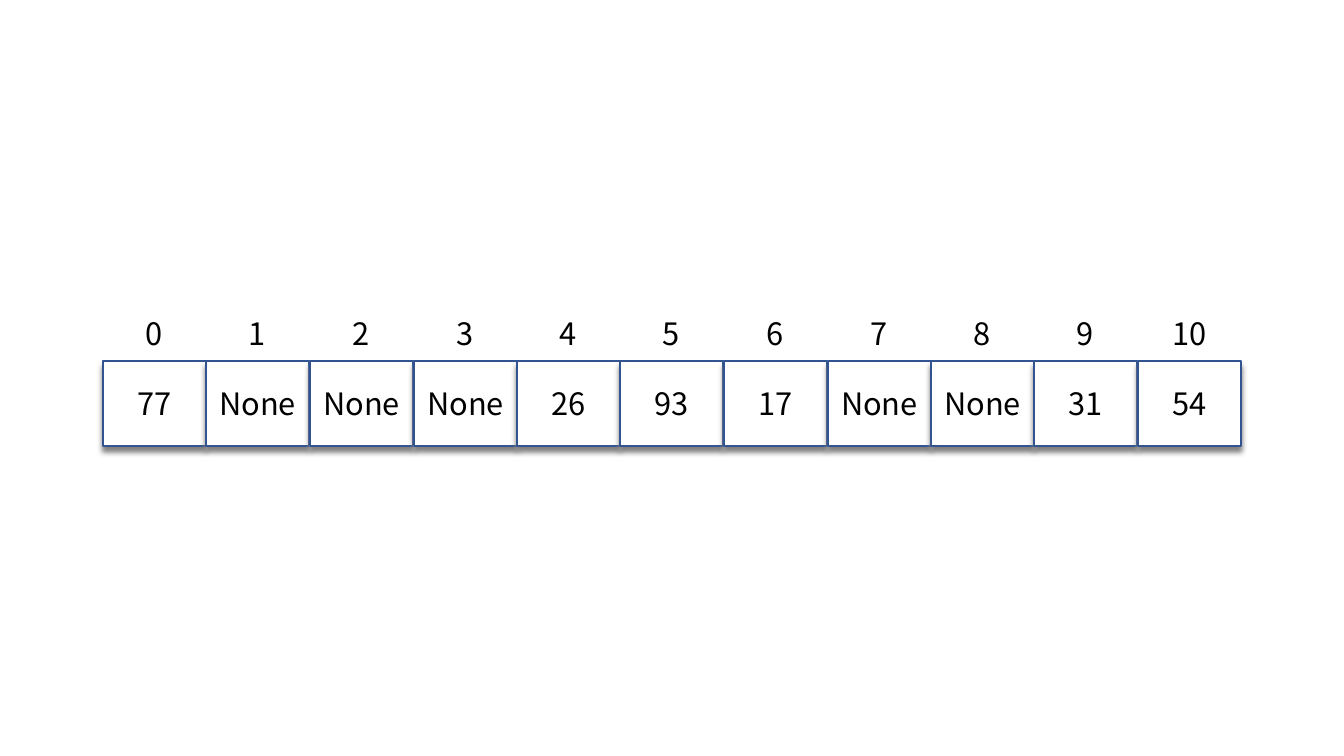
import lxml.etree
import pptx
import pptx.dml.color
import pptx.enum.shapes
import pptx.enum.text
import pptx.oxml.ns
import pptx.util

BLACK = pptx.dml.color.RGBColor(0x00, 0x00, 0x00)
WHITE = pptx.dml.color.RGBColor(0xFF, 0xFF, 0xFF)
BLUE = pptx.dml.color.RGBColor(0x32, 0x54, 0x91)
GREY = pptx.dml.color.RGBColor(0x80, 0x80, 0x80)

SLIDE_WIDTH = 1344
SLIDE_HEIGHT = 756
EMU_PER_PX = 12192000 / SLIDE_WIDTH

SLOTS = ["77", "None", "None", "None", "26", "93", "17", "None", "None", "31", "54"]
ROW_LEFT = 103
ROW_WIDTH = 1138
SLOT_TOP = 361
SLOT_WIDTH = 103
SLOT_HEIGHT = 85
INDEX_TOP = 310
INDEX_INSET = 5
INDEX_HEIGHT = 47


def px(length):
    return pptx.util.Emu(round(length * EMU_PER_PX))


def write_text(shape, text, font="Noto Sans CJK KR", size=22, color=BLACK,
               anchor=pptx.enum.text.MSO_ANCHOR.TOP):
    frame = shape.text_frame
    frame.word_wrap = True
    frame.margin_left = frame.margin_right = 0
    frame.vertical_anchor = anchor
    paragraph = frame.paragraphs[0]
    paragraph.alignment = pptx.enum.text.PP_ALIGN.CENTER
    run = paragraph.add_run()
    run.text = text
    run.font.name = font
    run.font.size = pptx.util.Pt(size)
    run.font.color.rgb = color


class HashTableSlide:
    def __init__(self, presentation):
        self.slide = presentation.slides.add_slide(presentation.slide_layouts[6])
        self.shapes = self.slide.shapes.add_group_shape().shapes

    def add_slot(self, left, top, width, height, text):
        shape = self.shapes.add_shape(
            pptx.enum.shapes.MSO_SHAPE.RECTANGLE, px(left), px(top), px(width), px(height))
        shape.fill.solid()
        shape.fill.fore_color.rgb = WHITE
        shape.line.color.rgb = BLUE
        shape.line.width = pptx.util.Pt(1)
        self.add_shadow(shape)
        write_text(shape, text, anchor=pptx.enum.text.MSO_ANCHOR.MIDDLE)

    def add_shadow(self, shape, distance=4, blur=4):
        shape.shadow.inherit = False
        qualified = pptx.oxml.ns.qn
        effects = shape.element.spPr.find(qualified("a:effectLst"))
        shadow = lxml.etree.SubElement(
            effects, qualified("a:outerShdw"), blurRad=str(pptx.util.Pt(blur)),
            dist=str(pptx.util.Pt(distance)), dir="5400000", rotWithShape="0")
        lxml.etree.SubElement(shadow, qualified("a:srgbClr"), val=str(GREY))

    def add_index(self, left, top, width, height, text):
        shape = self.shapes.add_textbox(px(left), px(top), px(width), px(height))
        write_text(shape, text)
        shape.text_frame.auto_size = pptx.enum.text.MSO_AUTO_SIZE.SHAPE_TO_FIT_TEXT


def main():
    presentation = pptx.Presentation()
    presentation.slide_width = px(SLIDE_WIDTH)
    presentation.slide_height = px(SLIDE_HEIGHT)
    table = HashTableSlide(presentation)
    pitch = (ROW_WIDTH - SLOT_WIDTH) / (len(SLOTS) - 1)
    for index, value in enumerate(SLOTS):
        left = round(ROW_LEFT + index * pitch)
        table.add_slot(left, SLOT_TOP, SLOT_WIDTH, SLOT_HEIGHT, value)
        table.add_index(left + INDEX_INSET, INDEX_TOP,
                        SLOT_WIDTH - 2 * INDEX_INSET, INDEX_HEIGHT, str(index))
    presentation.save("out.pptx")


if __name__ == "__main__":
    main()
